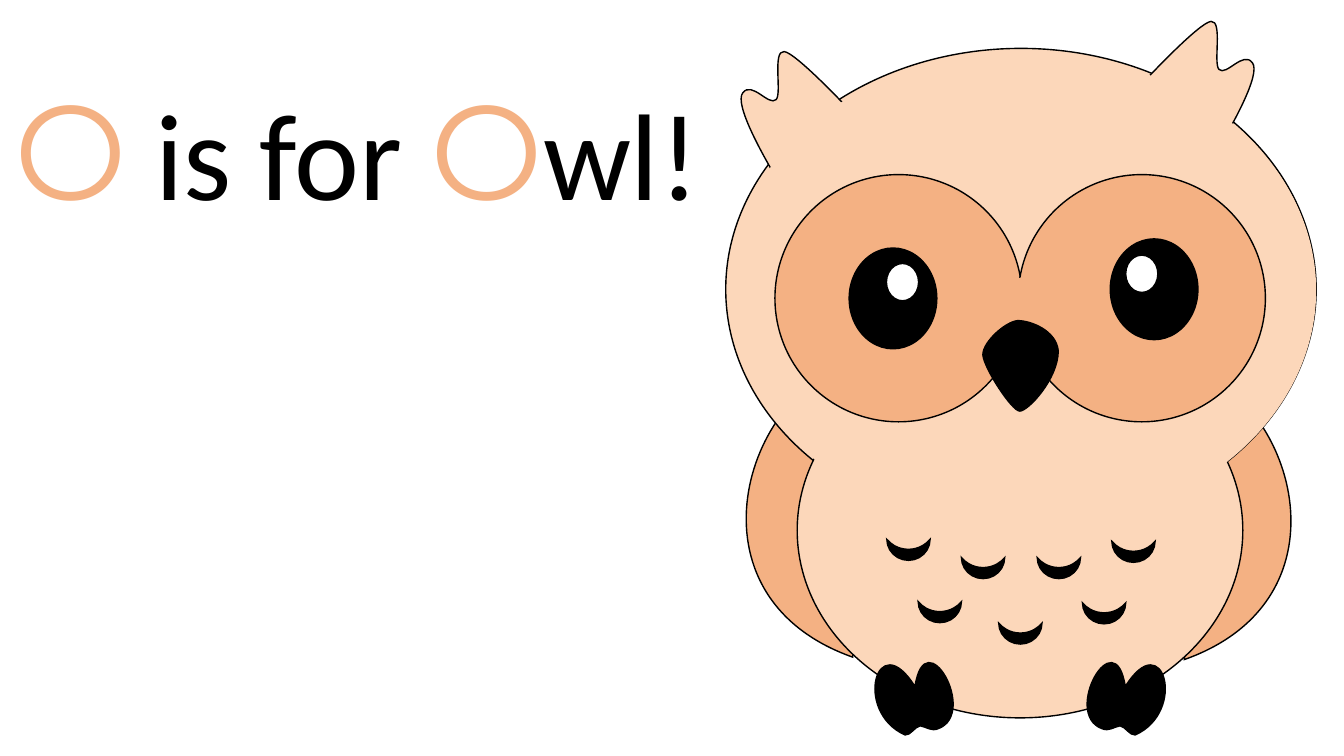
from dataclasses import dataclass

from lxml import etree
from pptx import Presentation
from pptx import util as u
from pptx.dml.color import RGBColor
from pptx.enum import shapes, text
from pptx.oxml import ns


@dataclass(frozen=True)
class Theme:
    cream: str = "FCD7BA"
    orange: str = "F4B183"
    black: str = "000000"
    white: str = "FFFFFF"
    letter_font: str = "Montserrat"
    word_font: str = "Calibri"
    letter_size: int = 96
    word_size: int = 88
    line_width: float = 1
    letter_outline: float = 0.75


def bezier(p0, p1, p2, p3, steps=50):
    for i in range(steps + 1):
        t = i / steps
        v = 1 - t
        yield tuple(
            v**3 * a + 3 * v * v * t * b + 3 * v * t * t * c + t**3 * d
            for a, b, c, d in zip(p0, p1, p2, p3)
        )


def mirror(points, axis, dy=0):
    return [(2 * axis - x, y + dy) for x, y in points]


def child(parent, tag, **attrs):
    el = etree.SubElement(parent, ns.qn(tag))
    for name, value in attrs.items():
        el.set(name, str(value))
    return el


def add_run(p, words, font, size, color, outline=None):
    r = p.add_run()
    r.text = words
    r.font.name = font
    r.font.size = u.Pt(size)
    r.font.color.rgb = RGBColor.from_string(color)
    if outline:
        ln = child(r.font._element, "a:ln", w=u.Pt(outline[1]))
        child(child(ln, "a:solidFill"), "a:srgbClr", val=outline[0])
        r.font._element.insert(0, ln)


class Slide:
    def __init__(self, prs, theme):
        self.theme = theme
        self.s = prs.slides.add_slide(prs.slide_layouts[5])

    def finish(self, sp, fill, line=True):
        sp.shadow.inherit = False
        sp.fill.solid()
        sp.fill.fore_color.rgb = RGBColor.from_string(fill)
        if line:
            sp.line.color.rgb = RGBColor.from_string(self.theme.black)
            sp.line.width = u.Pt(self.theme.line_width)
            child(sp.line._get_or_add_ln(), "a:miter", lim=800000)
        else:
            sp.line.fill.background()
        return sp

    def title(self, x, y, w, h, runs):
        sp = self.s.shapes.title
        sp.left, sp.top, sp.width, sp.height = map(u.Cm, (x, y, w, h))
        tf = sp.text_frame
        tf.word_wrap = True
        tf.auto_size = text.MSO_AUTO_SIZE.SHAPE_TO_FIT_TEXT
        tf.vertical_anchor = text.MSO_ANCHOR.TOP
        p = tf.paragraphs[0]
        p.alignment = text.PP_ALIGN.CENTER
        p.line_spacing = 1.0
        for words, style in runs:
            add_run(p, words, **style)

    def preset(self, kind, x, y, w, h, fill, line=True):
        sp = self.s.shapes.add_shape(kind, *map(u.Cm, (x, y, w, h)))
        return self.finish(sp, fill, line)

    def oval(self, *box, fill, line=True):
        return self.preset(shapes.MSO_SHAPE.OVAL, *box, fill, line)

    def feather(self, x, y):
        sp = self.preset(shapes.MSO_SHAPE.MOON, x, y, 0.53, 1.09, self.theme.black)
        sp.rotation = 270
        sp.adjustments[0] = 0.524

    def curve(self, points, fill, close=True):
        groups = [points[i:i + 4] for i in range(0, len(points) - 1, 3)]
        xs, ys = zip(*(pt for g in groups for pt in bezier(*g)))
        left, top = u.Cm(min(xs)), u.Cm(min(ys))
        w, h = u.Cm(max(xs)) - left, u.Cm(max(ys)) - top
        fb = self.s.shapes.build_freeform(left, top)
        fb.add_line_segments([(left + w, top + h)], close=close)
        sp = fb.convert_to_shape()
        route = sp._element.find(".//" + ns.qn("a:path"))
        route.set("w", str(w))
        route.set("h", str(h))
        step = route.find(ns.qn("a:lnTo"))
        start = route.find(ns.qn("a:moveTo"))[0]
        start.set("x", str(u.Cm(points[0][0]) - left))
        start.set("y", str(u.Cm(points[0][1]) - top))
        for g in groups:
            arc = child(route, "a:cubicBezTo")
            for x, y in g[1:]:
                child(arc, "a:pt", x=u.Cm(x) - left, y=u.Cm(y) - top)
            step.addprevious(arc)
        route.remove(step)
        return self.finish(sp, fill)


WING = [(21.49, 9.17), (18.8, 9.83), (17.12, 15.01), (21.49, 16.56)]
FOOT = [
    (23.65, 18.36), (24.66, 17.98), (23.32, 15.6), (23.06, 17.3),
    (22.1, 15.75), (21.49, 17.93), (22.81, 18.52),
    (22.94, 18.54), (23.06, 18.31), (23.19, 18.29),
    (23.34, 18.31), (23.47, 18.44), (23.65, 18.36),
]
EAR = [
    (19.48, 4.34), (19.25, 3.94), (18.49, 2.62), (18.72, 2.34),
    (18.95, 2.03), (19.38, 2.69), (19.56, 2.51),
    (19.71, 2.36), (19.46, 1.27), (19.76, 1.3),
    (20.04, 1.32), (21.31, 2.67), (21.31, 2.67),
]
BEAK = [
    (24.77, 8.94), (24.77, 8.61), (25.35, 8.1), (25.65, 8.08),
    (25.98, 8.08), (26.62, 8.33), (26.67, 8.84),
    (26.67, 9.55), (25.91, 10.36), (25.7, 10.36),
    (25.5, 10.36), (24.79, 9.27), (24.77, 8.94),
]
FEATHERS = [
    (22.63, 13.31), (24.51, 13.77), (26.42, 13.77), (28.3, 13.36),
    (23.42, 14.88), (25.45, 15.42), (27.56, 14.91),
]


def draw_owl(s, th):
    for wing in (WING, mirror(WING, 25.67, 0.06)):
        s.curve(wing, th.orange)
    s.oval(18.29, 1.22, 14.88, 12.14, fill=th.cream)
    body = s.oval(20.98, 7.75, 9.45, 11.23, fill=th.cream)
    body.rotation = 90
    for foot in (FOOT, mirror(FOOT, 25.71)):
        s.curve(foot, th.black)
    for x, y in FEATHERS:
        s.feather(x, y)
    for ear in (EAR, mirror(EAR, 25.14, -0.76)):
        s.curve(ear, th.cream, close=False)
    s.oval(18.36, 1.3, 14.81, 12.04, fill=th.cream, line=False)
    for x in (19.53, 25.66):
        s.oval(x, 4.4, 6.23, 6.23, fill=th.orange)
    for x, y, glint_x, glint_y in ((21.4, 6.25, 22.34, 6.64), (27.98, 6.02, 28.37, 6.43)):
        s.oval(x, y, 2.21, 2.54, fill=th.black)
        s.oval(glint_x, glint_y, 0.81, 0.94, fill=th.white)
    s.oval(25.35, 6.99, 0.81, 1.47, fill=th.orange, line=False)
    s.curve(BEAK, th.black)


def main():
    th = Theme()
    prs = Presentation()
    prs.slide_width, prs.slide_height = u.Cm(33.87), u.Cm(19.05)
    s = Slide(prs, th)
    letter = dict(font=th.letter_font, size=th.letter_size, color=th.orange,
                  outline=(th.black, th.letter_outline))
    word = dict(font=th.word_font, size=th.word_size, color=th.black)
    s.title(-2.5, 1.55, 23.7, 4.37, [
        ("O", letter), (" ", word), ("is for ", word), ("O", letter), ("wl! ", word),
    ])
    draw_owl(s, th)
    prs.save("out.pptx")


if __name__ == "__main__":
    main()
